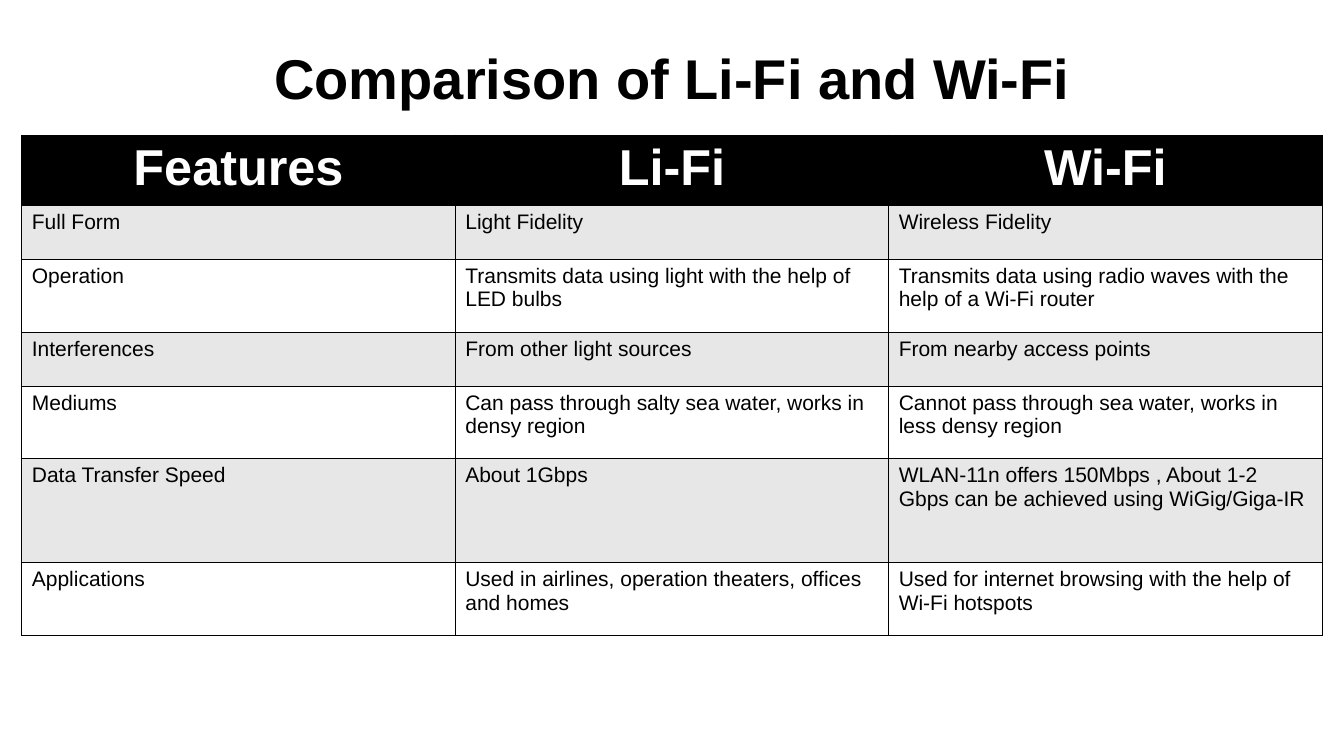
from lxml import etree
from pptx import Presentation
from pptx.dml.color import RGBColor
from pptx.enum.text import MSO_ANCHOR, PP_ALIGN
from pptx.oxml.ns import qn
from pptx.util import Pt

COLORS = {"black": "000000", "white": "FFFFFF", "band": "E7E7E7"}
ROWS = [
    ("Features", "Li-Fi", "Wi-Fi"),
    ("Full Form", "Light Fidelity", "Wireless Fidelity"),
    ("Operation", "Transmits data using light with the help of LED bulbs",
     "Transmits data using radio waves with the help of a Wi-Fi router"),
    ("Interferences", "From other light sources", "From nearby access points"),
    ("Mediums", "Can pass through salty sea water, works in densy region",
     "Cannot pass through sea water, works in less densy region"),
    ("Data Transfer Speed", "About 1Gbps",
     "WLAN-11n offers 150Mbps , About 1-2 Gbps can be achieved using WiGig/Giga-IR"),
    ("Applications", "Used in airlines, operation theaters, offices and homes",
     "Used for internet browsing with the help of Wi-Fi hotspots"),
]
HEIGHTS = [49.7, 38.4, 52, 38.4, 52, 74.2, 52]
COL_WIDTH = 309.6


def write(tf, text, size, color, bold=False, align=PP_ALIGN.LEFT):
    p = tf.paragraphs[0]
    p.text = text
    p.alignment = align
    p.font.name = "Arial"
    p.font.size = Pt(size)
    p.font.bold = bold
    p.font.color.rgb = RGBColor.from_string(COLORS[color])


def add_borders(cell):
    tc_pr = cell._tc.get_or_add_tcPr()
    for i, side in enumerate(("lnL", "lnR", "lnT", "lnB")):
        ln = etree.Element(qn(f"a:{side}"), w=str(Pt(1)))
        fill = etree.SubElement(ln, qn("a:solidFill"))
        etree.SubElement(fill, qn("a:srgbClr"), val=COLORS["black"])
        tc_pr.insert(i, ln)


prs = Presentation()
prs.slide_width, prs.slide_height = Pt(960), Pt(540)
s = prs.slides.add_slide(prs.slide_layouts[6])

title = s.shapes.add_textbox(Pt(0), Pt(23), Pt(960), Pt(64))
tf = title.text_frame
tf.word_wrap = True
tf.vertical_anchor = MSO_ANCHOR.MIDDLE
tf.margin_left = tf.margin_right = tf.margin_top = tf.margin_bottom = Pt(9.4)
write(tf, "Comparison of Li-Fi and Wi-Fi", 40, "black", True, PP_ALIGN.CENTER)

frame = s.shapes.add_table(len(ROWS), 3, Pt(15.6), Pt(96.6),
                           Pt(3 * COL_WIDTH), Pt(sum(HEIGHTS)))
table = frame.table
for col in table.columns:
    col.width = Pt(COL_WIDTH)
for i, (texts, height) in enumerate(zip(ROWS, HEIGHTS)):
    table.rows[i].height = Pt(height)
    background = "black" if i == 0 else "band" if i % 2 else "white"
    for j, text in enumerate(texts):
        cell = table.cell(i, j)
        cell.fill.solid()
        cell.fill.fore_color.rgb = RGBColor.from_string(COLORS[background])
        add_borders(cell)
        if i == 0:
            write(cell.text_frame, text, 36, "white", True, PP_ALIGN.CENTER)
        else:
            write(cell.text_frame, text, 15, "black")

prs.save("out.pptx")
